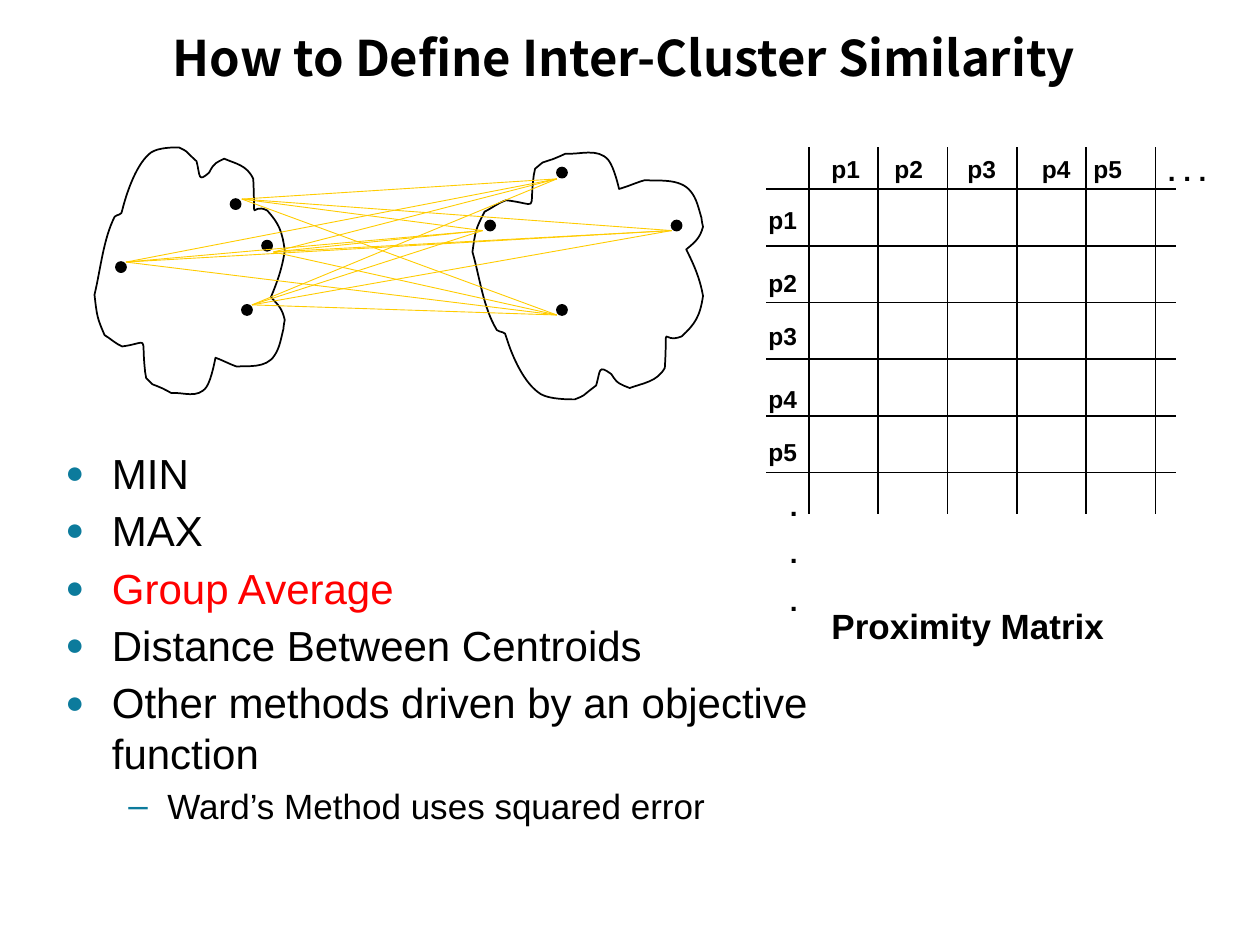
from dataclasses import dataclass
from itertools import chain, product

from lxml import etree
from pptx import Presentation
from pptx.dml.color import RGBColor
from pptx.enum import shapes, text
from pptx.oxml import ns
from pptx.util import Inches, Pt

BLACK = RGBColor(0x00, 0x00, 0x00)
RED = RGBColor(0xFF, 0x00, 0x00)
GOLD = RGBColor(0xFF, 0xCC, 0x00)
TEAL = RGBColor(0x0C, 0x7B, 0x9C)
DOT_SIZE = 0.08
Point = tuple[float, float]


@dataclass
class Bullet:
    words: str
    color: RGBColor = BLACK
    size: int = 24
    level: int = 0
    mark: str = "●"
    mark_scale: int = 75
    indent: float = 0.37
    hanging: float = 0.37


@dataclass
class Cluster:
    left: float
    width: float
    flipped: bool
    dots: list[Point]
    link_ends: list[Point]


CLUSTERS = [
    Cluster(0.75, 1.51, False,
            [(1.92, 2.42), (1.83, 1.58), (0.92, 2.08), (2.08, 1.91)],
            [(2, 2.42), (2.17, 2), (1, 2.08), (1.92, 1.58)]),
    Cluster(3.75, 1.83, True,
            [(5.33, 1.75), (3.85, 1.75), (4.42, 2.42), (4.42, 1.33)],
            [(4.42, 2.5), (3.83, 1.83), (4.42, 1.42), (5.33, 1.83)]),
]

OUTLINE_LEFT, OUTLINE_WIDTH, FLIP_SUM = 0.75, 1.51, 4.34
OUTLINE_START = (0.91, 1.72)
OUTLINE_CURVES = [
    (0.82, 1.9, 0.8, 2.13, 0.75, 2.34), (0.77, 2.51, 0.77, 2.52, 0.83, 2.66),
    (0.88, 2.69, 0.92, 2.73, 0.97, 2.75), (1.19, 2.72, 1.12, 2.65, 1.15, 2.93),
    (1.15, 2.96, 1.16, 2.98, 1.16, 3), (1.23, 3.07, 1.19, 3.04, 1.26, 3.07),
    (1.29, 3.08, 1.36, 3.12, 1.36, 3.12), (1.45, 3.11, 1.57, 3.17, 1.64, 3.07),
    (1.68, 3.01, 1.71, 2.84, 1.71, 2.84), (1.77, 2.86, 1.82, 2.89, 1.88, 2.91),
    (1.96, 2.9, 2.11, 2.93, 2.18, 2.82), (2.22, 2.76, 2.23, 2.69, 2.25, 2.61),
    (2.25, 2.59, 2.26, 2.54, 2.26, 2.54), (2.24, 2.45, 2.21, 2.42, 2.15, 2.36),
    (2.2, 2.24, 2.24, 2.13, 2.26, 1.99), (2.24, 1.83, 2.21, 1.77, 2.12, 1.67),
    (1.98, 1.6, 2.03, 1.82, 2.01, 1.42), (1.96, 1.31, 1.87, 1.3, 1.78, 1.26),
    (1.72, 1.29, 1.7, 1.29, 1.66, 1.37), (1.57, 1.45, 1.59, 1.4, 1.56, 1.28),
    (1.45, 1.18, 1.5, 1.21, 1.42, 1.17), (1.38, 1.17, 1.26, 1.17, 1.2, 1.21),
    (1.09, 1.29, 1.01, 1.51, 0.97, 1.67), (0.97, 1.71, 0.93, 1.7, 0.91, 1.72),
]

BULLETS = [
    Bullet("MIN"),
    Bullet("MAX"),
    Bullet("Group Average", color=RED),
    Bullet("Distance Between Centroids"),
    Bullet("Other methods driven by an objective function"),
    Bullet("Ward’s Method uses squared error", size=20, level=1, mark="–",
           mark_scale=100, indent=0.81, hanging=0.31),
]


def style_span(para, words: str, size: float, font: str = "Arial",
               bold: bool = False, color: RGBColor = BLACK) -> None:
    span = para.add_run()
    span.text = words
    span.font.name, span.font.size = font, Pt(size)
    span.font.bold, span.font.color.rgb = bold, color
    if font != "Arial":
        east = etree.SubElement(span.font._element, ns.qn("a:ea"))
        east.set("typeface", font)


def add_text(page, words: str, left: float, top: float, width: float, height: float,
             *, size: float = 14, font: str = "Arial", bold: bool = True,
             align=text.PP_ALIGN.LEFT, anchor=text.MSO_ANCHOR.TOP,
             gap: float = 0) -> None:
    box = page.shapes.add_textbox(Inches(left), Inches(top), Inches(width), Inches(height))
    frame = box.text_frame
    frame.word_wrap, frame.vertical_anchor = True, anchor
    for index, line in enumerate(words.split("\n")):
        para = frame.add_paragraph() if index else frame.paragraphs[0]
        para.alignment = align
        para.space_before = Pt(gap if index else 0)
        style_span(para, line, size, font, bold)


def add_line(page, start: Point, end: Point, color: RGBColor = BLACK,
             weight: float = 1) -> None:
    line = page.shapes.add_connector(
        shapes.MSO_CONNECTOR.STRAIGHT, *(Inches(value) for value in (*start, *end)))
    line.line.color.rgb, line.line.width = color, Pt(weight)
    etree.SubElement(line._element.spPr, ns.qn("a:effectLst"))


def bend_segments(outline) -> None:
    segments = list(outline._element.iter(ns.qn("a:lnTo")))
    for first, second, third in zip(*(segments[offset::3] for offset in range(3))):
        curve = etree.Element(ns.qn("a:cubicBezTo"))
        first.addprevious(curve)
        for segment in (first, second, third):
            curve.append(segment[0])
            segment.getparent().remove(segment)


def add_cluster(page, cluster: Cluster) -> None:
    scale = cluster.width / OUTLINE_WIDTH
    values = list(chain(OUTLINE_START, *OUTLINE_CURVES))
    points = [(Inches(cluster.left + (x - OUTLINE_LEFT) * scale),
               Inches(FLIP_SUM - y if cluster.flipped else y))
              for x, y in zip(values[::2], values[1::2])]
    builder = page.shapes.build_freeform(*points[0], scale=1.0)
    builder.add_line_segments(points[1:], close=True)
    outline = builder.convert_to_shape()
    bend_segments(outline)
    outline.shadow.inherit = False
    outline.fill.background()
    outline.line.color.rgb, outline.line.width = BLACK, Pt(1)
    for left, top in cluster.dots:
        dot = page.shapes.add_shape(shapes.MSO_SHAPE.OVAL, Inches(left), Inches(top),
                                    Inches(DOT_SIZE), Inches(DOT_SIZE))
        dot.shadow.inherit = False
        dot.fill.solid()
        dot.fill.fore_color.rgb = dot.line.color.rgb = BLACK
        dot.line.width = Pt(1)


def add_matrix(page) -> None:
    matrix = page.shapes.add_group_shape()
    for index in range(6):
        x, y = 6.42 + 0.55 * index, 1.5 + 0.45 * index
        add_line(matrix, (x, 1.17), (x, 4.08))
        add_line(matrix, (6.08, y), (9.33, y))
    row_tops = (1.58, 2.08, 2.5, 3, 3.42)
    column_lefts = (6.5, 7, 7.58, 8.17, 8.58)
    for number, (top, left) in enumerate(zip(row_tops, column_lefts), start=1):
        add_text(matrix, f"p{number}", 6, top, 0.58, 0.33)
        add_text(matrix, f"p{number}", left, 1.17, 0.58, 0.33)
    add_text(matrix, ". . .", 9.17, 1.17, 0.58, 0.37, size=16)
    add_text(matrix, ".\n.\n.", 6.17, 3.83, 0.58, 1.17, size=16, gap=7.8)


def add_bullets(page, bullets: list[Bullet]) -> None:
    box = page.shapes.add_textbox(Inches(0.42), Inches(3.5), Inches(6.33), Inches(3.42))
    frame = box.text_frame
    frame.word_wrap = True
    for index, bullet in enumerate(bullets):
        para = frame.add_paragraph() if index else frame.paragraphs[0]
        para.level = bullet.level
        para.space_before, para.space_after = Pt(2 if index else 0), Pt(2)
        props = para._p.get_or_add_pPr()
        props.set("marL", str(Inches(bullet.indent)))
        props.set("indent", str(-Inches(bullet.hanging)))
        tint = etree.SubElement(props, ns.qn("a:buClr"))
        etree.SubElement(tint, ns.qn("a:srgbClr")).set("val", str(TEAL))
        for tag, key, value in (("a:buSzPct", "val", str(bullet.mark_scale * 1000)),
                                ("a:buFont", "typeface", "Arial"),
                                ("a:buChar", "char", bullet.mark)):
            etree.SubElement(props, ns.qn(tag)).set(key, value)
        style_span(para, bullet.words, bullet.size, color=bullet.color)


def main() -> None:
    deck = Presentation()
    deck.slide_width, deck.slide_height = Inches(10), Inches(7.5)
    page = deck.slides.add_slide(deck.slide_layouts[6])
    add_text(page, "How to Define Inter-Cluster Similarity", 0.42, 0.15, 9.06, 0.6,
             size=28, font="Noto Sans CJK SC", align=text.PP_ALIGN.CENTER,
             anchor=text.MSO_ANCHOR.MIDDLE)
    add_matrix(page)
    for cluster in CLUSTERS:
        add_cluster(page, cluster)
    for start, end in product(*(cluster.link_ends for cluster in CLUSTERS)):
        add_line(page, start, end, GOLD, 0.5)
    add_text(page, "Proximity Matrix", 6.5, 4.75, 2.75, 0.43, size=20)
    add_bullets(page, BULLETS)
    deck.save("out.pptx")


if __name__ == "__main__":
    main()
